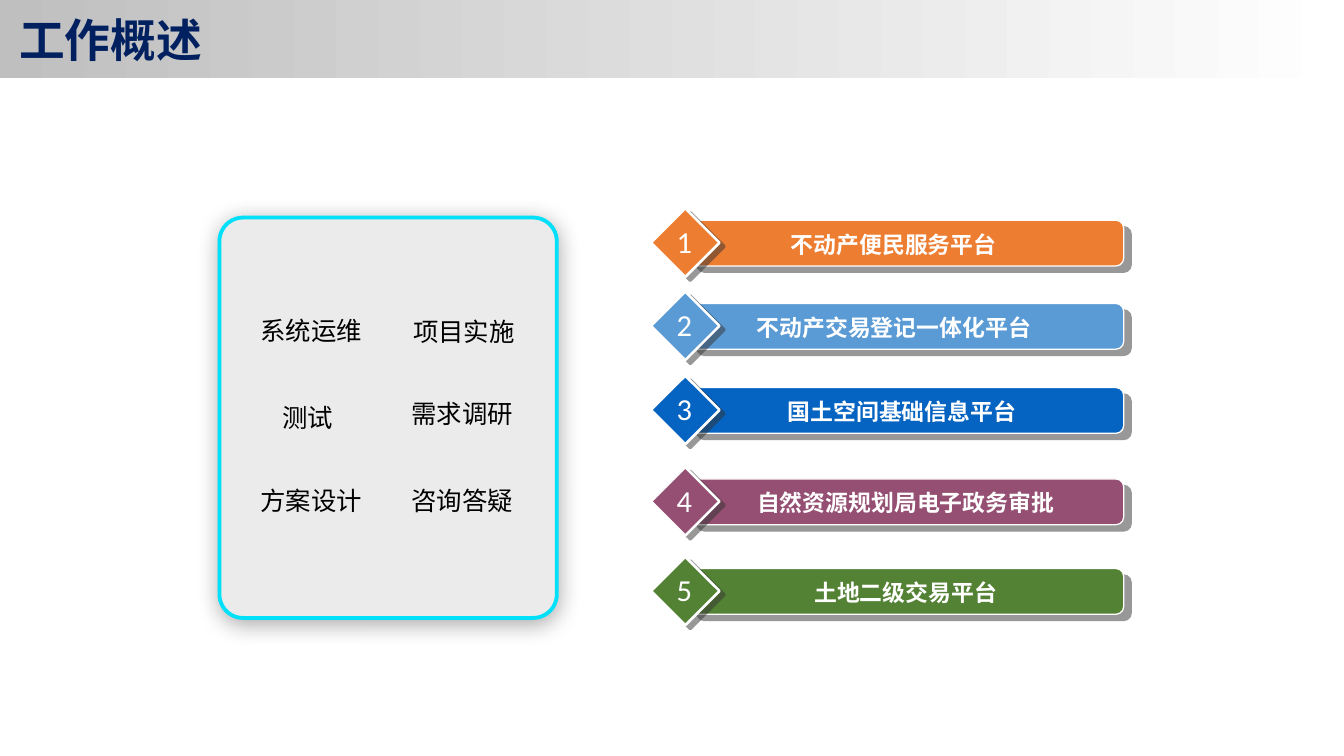
import pptx
import pptx.util
import pptx.dml.color
import pptx.enum.shapes
import pptx.enum.text
import pptx.oxml.ns
import lxml.etree

Inches = pptx.util.Inches
Pt = pptx.util.Pt
RGBColor = pptx.dml.color.RGBColor
SHAPE = pptx.enum.shapes.MSO_SHAPE
ALIGN = pptx.enum.text.PP_ALIGN
qn = pptx.oxml.ns.qn

WHITE = RGBColor(0xFF, 0xFF, 0xFF)
BLACK = RGBColor(0, 0, 0)
NAVY = RGBColor(0x00, 0x20, 0x60)
SILVER = RGBColor(0xBF, 0xBF, 0xBF)
PALE = RGBColor(0xEB, 0xEB, 0xEB)
CYAN = RGBColor(0x00, 0xE0, 0xF8)
ORANGE = RGBColor(0xED, 0x7D, 0x31)
SKY = RGBColor(0x5B, 0x9B, 0xD5)
BLUE = RGBColor(0x05, 0x63, 0xC1)
PLUM = RGBColor(0x95, 0x4F, 0x72)
GREEN = RGBColor(0x54, 0x82, 0x35)
CJK = "Noto Sans CJK SC"


def add_box(shapes, kind, box, fill, line, width, shade):
    """Add a filled shape; shade is colour, opacity %, blur, distance, angle."""
    shape = shapes.add_shape(kind, *map(Inches, box))
    shape.fill.solid()
    shape.fill.fore_color.rgb = fill
    shape.line.color.rgb = line
    shape.line.width = Pt(width)
    shape.shadow.inherit = False
    tint, alpha, blur, dist, angle = shade
    effects = shape.element.spPr.find(qn("a:effectLst"))
    outer = lxml.etree.SubElement(
        effects, qn("a:outerShdw"), blurRad=str(Pt(blur)), dist=str(Pt(dist)),
        dir=str(angle * 60000), algn="ctr", rotWithShape="0")
    color = lxml.etree.SubElement(outer, qn("a:srgbClr"), val=tint)
    lxml.etree.SubElement(color, qn("a:alpha"), val=str(alpha * 1000))
    return shape


def add_text(shapes, box, text, size, color, align, bold=False, wrap=True):
    frame = shapes.add_textbox(*map(Inches, box)).text_frame
    frame.word_wrap = wrap
    frame.text = text
    frame.paragraphs[0].alignment = align
    font = frame.paragraphs[0].runs[0].font
    font.size = Pt(size)
    font.bold = bold
    font.color.rgb = color
    font.name = "Calibri"
    lxml.etree.SubElement(frame.paragraphs[0].runs[0].font._element, qn("a:ea"), typeface=CJK)


deck = pptx.Presentation()
deck.slide_width = Inches(14.7)
deck.slide_height = Inches(8.27)
slide = deck.slides.add_slide(deck.slide_layouts[5])

# Title band
title = slide.shapes.title
title.left, title.top = Inches(0), Inches(0)
title.width, title.height = Inches(14.69), Inches(0.85)
title.fill.gradient()
title.fill.gradient_angle = 0
for stop, color in zip(title.fill.gradient_stops, (SILVER, WHITE)):
    stop.color.rgb = color
frame = title.text_frame
frame.text = "工作概述"
frame.auto_size = pptx.enum.text.MSO_AUTO_SIZE.NONE
frame.vertical_anchor = pptx.enum.text.MSO_ANCHOR.MIDDLE
frame.margin_left = Inches(0.21)
frame.paragraphs[0].alignment = ALIGN.LEFT
font = frame.paragraphs[0].runs[0].font
font.size = Pt(36)
font.bold = True
font.color.rgb = NAVY
font.name = CJK
lxml.etree.SubElement(font._element, qn("a:ea"), typeface=CJK)

# Numbered platforms: top, label left, colour, label
rows = [
    (2.41, 7.9, ORANGE, "不动产便民服务平台"),
    (3.32, 7.9, SKY, "不动产交易登记一体化平台"),
    (4.24, 7.99, BLUE, "国土空间基础信息平台"),
    (5.24, 8.03, PLUM, "自然资源规划局电子政务审批"),
    (6.22, 8.03, GREEN, "土地二级交易平台"),
]
for number, (top, left, color, label) in enumerate(rows, 1):
    group = slide.shapes.add_group_shape().shapes
    add_box(group, SHAPE.ROUNDED_RECTANGLE, (7.54, top, 4.75, 0.5),
            color, WHITE, 1, ("333333", 50, 0, 7.8, 40))
    add_box(group, SHAPE.DIAMOND, (7.12, top - 0.13, 0.75, 0.75),
            color, WHITE, 2, ("333333", 50, 0, 5, 37))
    add_text(group, (left, top + 0.06, 3.75, 0.4), label, 18, WHITE, ALIGN.CENTER, bold=True)
    add_text(group, (7.29, top - 0.02, 0.39, 0.5), str(number), 24, WHITE,
             ALIGN.CENTER, wrap=False)

# Panel of duties
panel = add_box(slide.shapes, SHAPE.ROUNDED_RECTANGLE, (2.4, 2.38, 3.69, 4.38),
                PALE, CYAN, 3, ("000000", 33, 17.8, 3, 87))
panel.adjustments[0] = 0.07
duties = [
    (2.75, 3.4, "系统运维"), (4.42, 3.41, "项目实施"),
    (2.99, 4.35, "测试"), (4.4, 4.31, "需求调研"),
    (2.75, 5.26, "方案设计"), (4.4, 5.26, "咨询答疑"),
]
for left, top, duty in duties:
    add_text(slide.shapes, (left, top, 1.39, 0.44), duty, 20, BLACK, ALIGN.LEFT)

deck.save("out.pptx")
